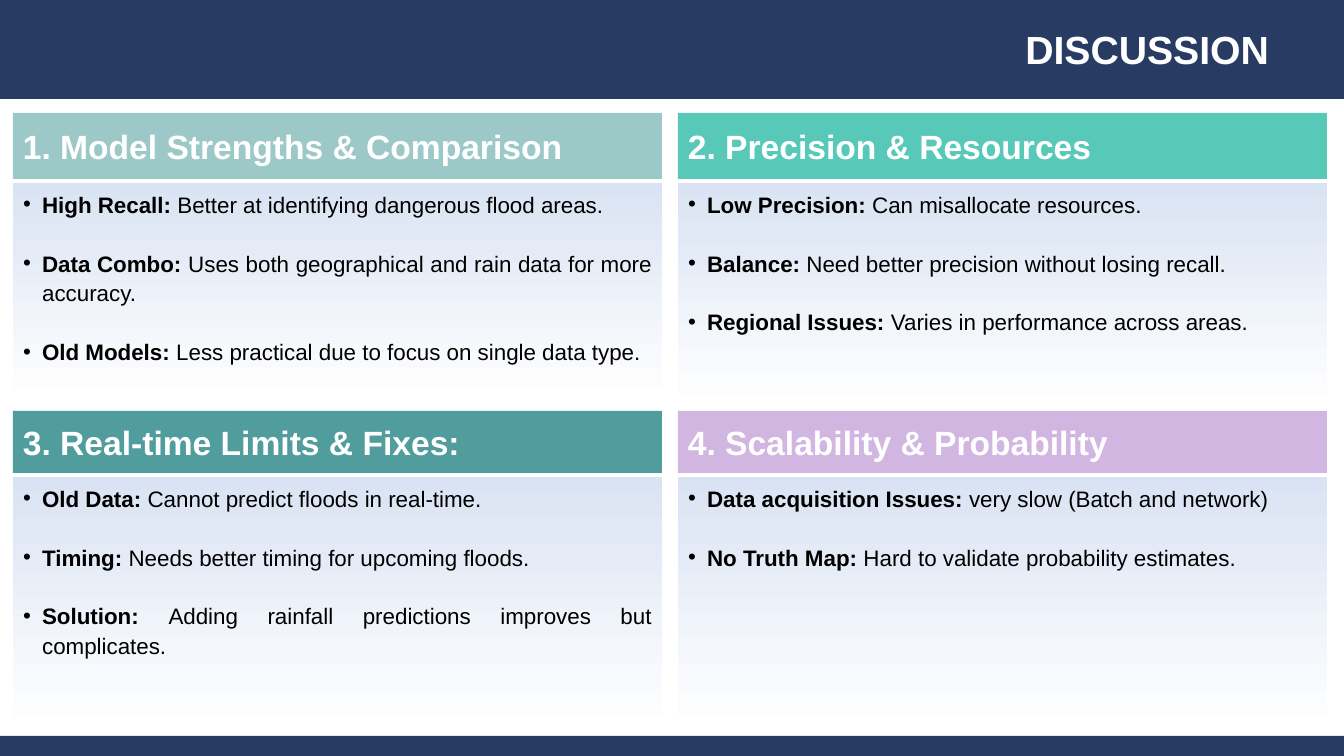
from dataclasses import dataclass

from lxml.etree import SubElement
from pptx import Presentation
from pptx.dml.color import RGBColor
from pptx.enum.shapes import MSO_SHAPE as Shape
from pptx.enum.text import MSO_ANCHOR as Anchor, MSO_AUTO_SIZE as AutoSize, PP_ALIGN as Align
from pptx.oxml.ns import qn
from pptx.util import Pt

PX = 914400 / 100.8


@dataclass(frozen=True)
class Theme:
    font: str = "Arial"
    navy: str = "283C63"
    white: str = "FFFFFF"
    black: str = "000000"
    panel_top: str = "DAE3F3"
    title_size: int = 28
    heading_size: int = 24
    list_size: int = 16


theme = Theme()


def px(*lengths):
    return [round(length * PX) for length in lengths]


def add_span(para, text, size, color=theme.black, bold=False):
    span = para.add_run()
    span.text = text
    span.font.name = theme.font
    span.font.size = Pt(size)
    span.font.bold = bold
    span.font.color.rgb = RGBColor.from_string(color)


deck = Presentation()
deck.slide_width, deck.slide_height = px(1344, 756)
page = deck.slides.add_slide(deck.slide_layouts.get_by_name("Comparison"))

# Title and the two navy bars behind it
title = page.shapes.title
title.left, title.top, title.width, title.height = px(398, 25, 881, 53)
title.text_frame.vertical_anchor = Anchor.MIDDLE
title.text_frame.auto_size = AutoSize.NONE
para = title.text_frame.paragraphs[0]
para.alignment = Align.RIGHT
para.line_spacing = 0.9
add_span(para, "DISCUSSION", theme.title_size, theme.white, bold=True)

for top, height in [(0, 99), (736, 20)]:
    bar = page.shapes.add_shape(Shape.RECTANGLE, *px(0, top, 1344, height))
    bar.shadow.inherit = False
    bar.fill.solid()
    bar.fill.fore_color.rgb = RGBColor.from_string(theme.navy)
    bar.line.fill.background()
    title.element.addprevious(bar.element)

# Four cards: heading, heading colour, list height, points
cards = [
    ("1. Model Strengths & Comparison", "9DC8C8", 218, [
        ("High Recall:", "Better at identifying dangerous flood areas."),
        ("Data Combo:", "Uses both geographical and rain data for more accuracy."),
        ("Old Models:", "Less practical due to focus on single data type."),
    ]),
    ("2. Precision & Resources", "58C9B9", 223, [
        ("Low Precision:", "Can misallocate resources."),
        ("Balance:", "Need better precision without losing recall."),
        ("Regional Issues:", "Varies in performance across areas."),
    ]),
    ("3. Real-time Limits & Fixes:", "519D9E", 253, [
        ("Old Data:", "Cannot predict floods in real-time."),
        ("Timing:", "Needs better timing for upcoming floods."),
        ("Solution:", "Adding rainfall predictions improves but complicates."),
    ]),
    ("4. Scalability & Probability", "D1B6E1", 253, [
        ("Data acquisition Issues:", "very slow (Batch and network)"),
        ("No Truth Map:", "Hard to validate probability estimates."),
    ]),
]
columns = [13, 678]
rows = [(113, 66, 183), (411, 62, 477)]  # heading top, heading height, list top
card_width = 649
bullet_indent, tab_stop = px(19, 25)

for index, (heading, color, list_height, points) in enumerate(cards):
    left = columns[index % 2]
    heading_top, heading_height, list_top = rows[index // 2]

    box = page.shapes.add_shape(
        Shape.RECTANGLE, *px(left, heading_top, card_width, heading_height))
    box.shadow.inherit = False
    box.fill.solid()
    box.fill.fore_color.rgb = RGBColor.from_string(color)
    box.line.fill.background()
    box.text_frame.vertical_anchor = Anchor.MIDDLE
    para = box.text_frame.paragraphs[0]
    para.alignment = Align.LEFT
    add_span(para, heading, theme.heading_size, theme.white, bold=True)

    body = page.placeholders[index + 1]
    body.left, body.top, body.width, body.height = px(left, list_top, card_width, list_height)
    body.fill.gradient()
    body.fill.gradient_angle = 270
    for stop, position, shade in zip(
            body.fill.gradient_stops, (0, 1), (theme.panel_top, theme.white)):
        stop.position = position
        stop.color.rgb = RGBColor.from_string(shade)
    frame = body.text_frame
    frame.vertical_anchor = Anchor.TOP
    frame.auto_size = AutoSize.NONE

    for number, (label, detail) in enumerate(points):
        para = frame.add_paragraph() if number else frame.paragraphs[0]
        props = para._p.get_or_add_pPr()
        props.set("marL", str(bullet_indent))
        props.set("indent", str(-bullet_indent))
        SubElement(props, qn("a:buFont"), typeface=theme.font)
        SubElement(props, qn("a:buChar"), char="•")
        tabs = SubElement(props, qn("a:tabLst"))
        SubElement(tabs, qn("a:tab"), pos=str(tab_stop), algn="l")
        para.alignment = Align.JUSTIFY
        para.line_spacing = 1.1
        para.space_before = Pt(21 if number else 0)
        para.space_after = Pt(0)
        add_span(para, label + " ", theme.list_size, bold=True)
        add_span(para, detail, theme.list_size)

deck.save("out.pptx")
